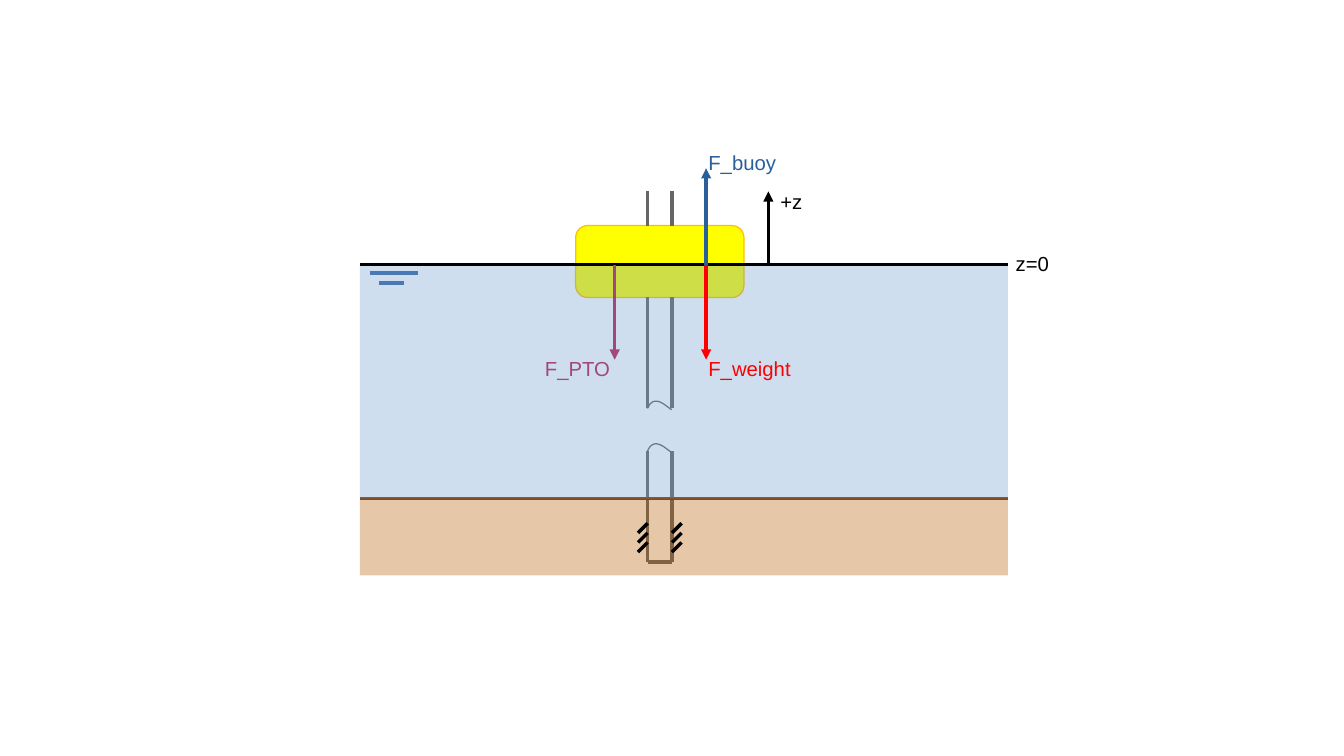
"""Draw the forces acting on a floating wave energy converter."""
from typing import NamedTuple

from lxml import etree
from pptx import Presentation
from pptx.dml.color import RGBColor
from pptx.enum import shapes, text
from pptx.oxml import ns
from pptx.util import Pt

BLACK = RGBColor(0x00, 0x00, 0x00)
GREY = RGBColor(0x66, 0x66, 0x66)
RIPPLE_BLUE = RGBColor(0x34, 0x65, 0xA4)
WATER_BLUE = RGBColor(0x72, 0x9F, 0xCF)
SAND = RGBColor(0xB8, 0x5C, 0x00)
BED_BROWN = RGBColor(0x7B, 0x3D, 0x00)
YELLOW = RGBColor(0xFF, 0xFF, 0x00)
AMBER = RGBColor(0xFF, 0xBF, 0x00)
BUOY_BLUE = RGBColor(0x2A, 0x60, 0x99)
RED = RGBColor(0xFF, 0x00, 0x00)
PURPLE = RGBColor(0xA1, 0x46, 0x7E)

SEA_LEFT, SEA_RIGHT = 212.4, 595.1
SURFACE, BED, SEA_BOTTOM = 156.24, 294.48, 339.84
ROD_LEFT, ROD_RIGHT, ROD_BOTTOM = 382.32, 396.72, 331.92
FLOAT_TOP, FLOAT_BOTTOM = 133.2, 175.68
BREAK_TOP, BREAK_BOTTOM = 241.2, 266.4
HATCH_SIZE, HATCH_GAP, HATCH_TOP = 5.67, 5.67, 308.98


class Line(NamedTuple):
    x1: float
    y1: float
    x2: float
    y2: float
    color: RGBColor
    arrow: bool = False


class Area(NamedTuple):
    left: float
    top: float
    width: float
    height: float
    fill: RGBColor
    kind: shapes.MSO_SHAPE = shapes.MSO_SHAPE.RECTANGLE
    outline: RGBColor | None = None
    opacity: int = 100


class Label(NamedTuple):
    words: str
    left: float
    top: float
    width: float
    color: RGBColor


RIPPLES = [
    Line(218.16, 161.28, 246.96, 161.28, RIPPLE_BLUE),
    Line(223.92, 167.04, 238.32, 167.04, RIPPLE_BLUE),
]
FLOAT = Area(339.84, FLOAT_TOP, 99.36, FLOAT_BOTTOM - FLOAT_TOP, YELLOW,
             shapes.MSO_SHAPE.ROUNDED_RECTANGLE, AMBER)
ROD_SPANS = [(FLOAT_TOP, 113.04), (BREAK_TOP, FLOAT_BOTTOM), (ROD_BOTTOM, BREAK_BOTTOM)]
ROD = [Line(x, start, x, end, GREY)
       for start, end in ROD_SPANS for x in (ROD_LEFT, ROD_RIGHT)]
ROD.append(Line(ROD_LEFT, ROD_BOTTOM, ROD_RIGHT, ROD_BOTTOM, GREY))
BED_LINE = Line(SEA_LEFT, BED, SEA_RIGHT, BED, BED_BROWN)
GROUND = Area(SEA_LEFT, BED, SEA_RIGHT - SEA_LEFT, SEA_BOTTOM - BED, SAND, opacity=34)
WATER = Area(SEA_LEFT, SURFACE, SEA_RIGHT - SEA_LEFT, BED - SURFACE, WATER_BLUE, opacity=34)
HATCHES = [
    Line(x, HATCH_TOP + row * HATCH_GAP + HATCH_SIZE,
         x + HATCH_SIZE, HATCH_TOP + row * HATCH_GAP, BLACK)
    for x in (ROD_LEFT - HATCH_SIZE, ROD_RIGHT) for row in range(3)
]
SURFACE_LINE = Line(SEA_LEFT, SURFACE, SEA_RIGHT, SURFACE, BLACK)
ARROWS = [
    Line(453.6, SURFACE, 453.6, 113.04, BLACK, True),
    Line(416.88, SURFACE, 416.88, 99.36, BUOY_BLUE, True),
    Line(416.88, SURFACE, 416.88, 212.4, RED, True),
    Line(362.88, SURFACE, 362.88, 212.4, PURPLE, True),
]
LABELS = [
    Label("+z", 453.6, 108, 56.88, BLACK),
    Label("z=0", 592.56, 144.72, 56.88, BLACK),
    Label("F_buoy", 411.12, 84.96, 56.88, BUOY_BLUE),
    Label("F_weight", 411.12, 206.64, 70.56, RED),
    Label("F_PTO", 314.64, 206.64, 70.56, PURPLE),
]


def draw_line(page, line: Line) -> None:
    """Draw a hairline, with an arrowhead at its end if wanted."""
    connector = page.shapes.add_connector(
        shapes.MSO_CONNECTOR.STRAIGHT,
        Pt(line.x1), Pt(line.y1), Pt(line.x2), Pt(line.y2))
    connector.line.color.rgb = line.color
    connector.line.width = Pt(0)
    properties = connector.line._get_or_add_ln()
    if line.arrow:
        etree.SubElement(properties, ns.qn("a:tailEnd"), type="triangle")
    etree.SubElement(connector._element.spPr, ns.qn("a:effectLst"))


def draw_area(page, area: Area) -> None:
    """Draw a filled shape, see-through where its opacity is below 100."""
    shape = page.shapes.add_shape(
        area.kind, Pt(area.left), Pt(area.top), Pt(area.width), Pt(area.height))
    shape.shadow.inherit = False
    shape.fill.solid()
    shape.fill.fore_color.rgb = area.fill
    if area.opacity < 100:
        color = shape._element.spPr.find(".//" + ns.qn("a:srgbClr"))
        etree.SubElement(color, ns.qn("a:alpha"), val=str(area.opacity * 1000))
    if area.outline is None:
        shape.line.fill.background()
    else:
        shape.line.color.rgb = area.outline
        shape.line.width = Pt(0)


def draw_break(page, top: float) -> None:
    """Draw the wavy edge where the rod is cut, as a sampled Bézier curve."""
    controls = [(0, 0), (3.6, -8.64), (10.08, -2.16), (13.68, 0.4)]
    points = []
    for step in range(25):
        t = step / 24
        weights = ((1 - t) ** 3, 3 * t * (1 - t) ** 2, 3 * t * t * (1 - t), t ** 3)
        x = sum(weight * point[0] for weight, point in zip(weights, controls))
        y = sum(weight * point[1] for weight, point in zip(weights, controls))
        points.append((Pt(ROD_LEFT + x), Pt(top + y)))
    points.append((Pt(ROD_RIGHT), Pt(top + 0.4)))
    builder = page.shapes.build_freeform(*points[0])
    builder.add_line_segments(points[1:], close=False)
    shape = builder.convert_to_shape()
    shape.shadow.inherit = False
    shape.fill.background()
    shape.line.color.rgb = GREY
    shape.line.width = Pt(0)


def draw_label(page, label: Label) -> None:
    """Write a label in its own colour."""
    box = page.shapes.add_textbox(
        Pt(label.left), Pt(label.top), Pt(label.width), Pt(33.84))
    frame = box.text_frame
    frame.word_wrap = True
    frame.auto_size = text.MSO_AUTO_SIZE.SHAPE_TO_FIT_TEXT
    para = frame.paragraphs[0]
    para.text = label.words
    para.font.name = "Arial"
    para.font.size = Pt(12)
    para.font.color.rgb = label.color


def main() -> None:
    """Build the page from back to front and save it."""
    deck = Presentation()
    deck.slide_width, deck.slide_height = Pt(793.44), Pt(446.4)
    page = deck.slides.add_slide(deck.slide_layouts[6])
    for line in RIPPLES:
        draw_line(page, line)
    draw_area(page, FLOAT)
    for line in ROD:
        draw_line(page, line)
    for top in (BREAK_BOTTOM, BREAK_TOP):
        draw_break(page, top)
    draw_line(page, BED_LINE)
    for area in (GROUND, WATER):
        draw_area(page, area)
    for line in [*HATCHES, SURFACE_LINE, *ARROWS]:
        draw_line(page, line)
    for label in LABELS:
        draw_label(page, label)
    deck.save("out.pptx")


if __name__ == "__main__":
    main()
